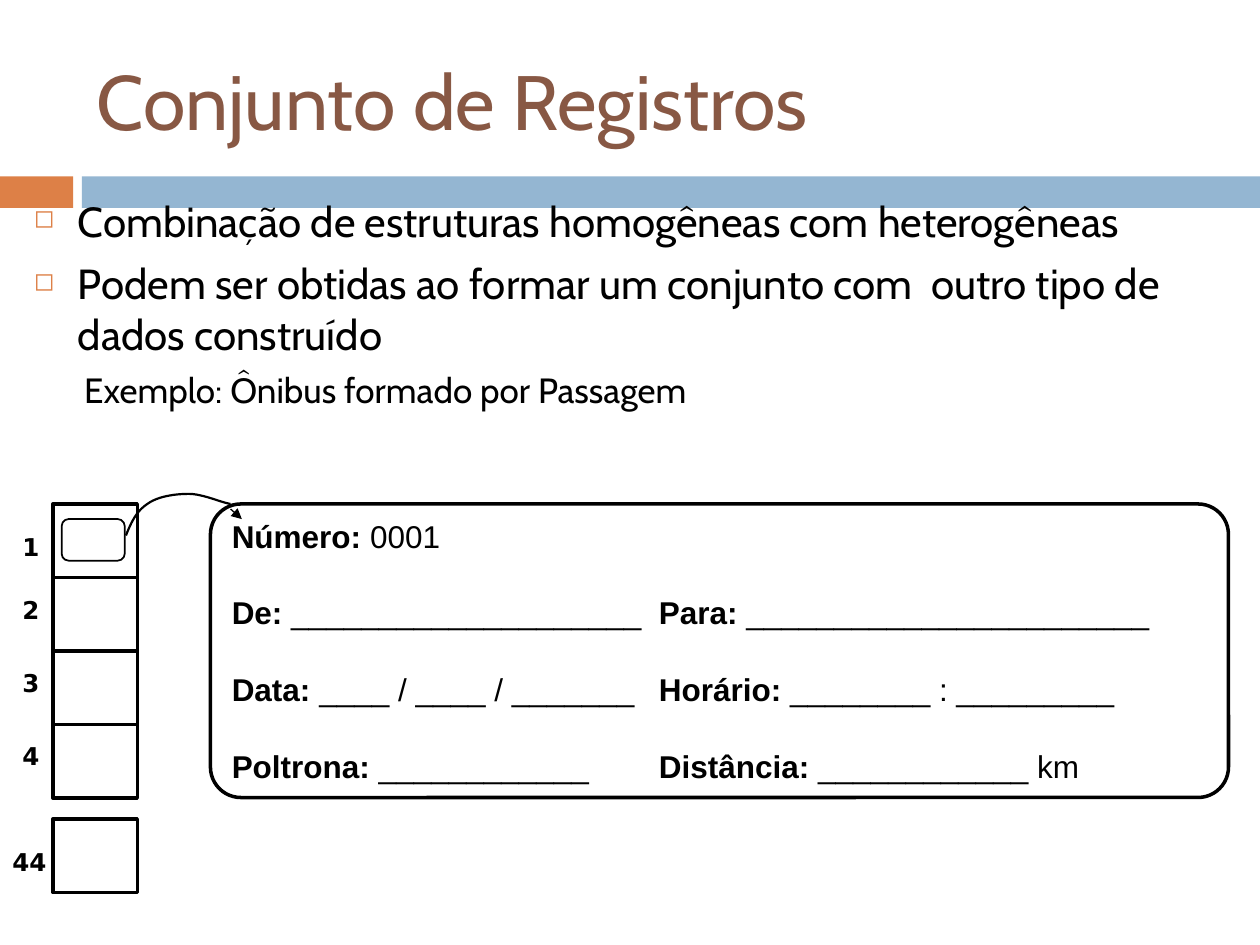
import pptx
import pptx.dml.color
import pptx.enum.shapes
import pptx.enum.text
import pptx.oxml
import pptx.oxml.ns
import pptx.util

Inches, Pt = pptx.util.Inches, pptx.util.Pt
RGBColor = pptx.dml.color.RGBColor
MSO = pptx.enum.shapes.MSO_SHAPE
ANCHOR = pptx.enum.text.MSO_ANCHOR
ALIGN = pptx.enum.text.PP_ALIGN
NS = pptx.oxml.ns.nsdecls("a")

ORANGE = RGBColor(0xDD, 0x80, 0x47)
BLUE = RGBColor(0x94, 0xB6, 0xD2)
BROWN = RGBColor(0x88, 0x58, 0x44)
BLACK = RGBColor(0, 0, 0)
WHITE = RGBColor(255, 255, 255)

prs = pptx.Presentation()
prs.slide_width, prs.slide_height = Inches(10), Inches(7.5)
s = prs.slides.add_slide(prs.slide_layouts[6])


def add_box(kind, box, fill, line=None, adj=None):
    sp = s.shapes.add_shape(kind, *map(Inches, box))
    sp.shadow.inherit = False
    sp.fill.solid()
    sp.fill.fore_color.rgb = fill
    if line:
        sp.line.color.rgb = BLACK
        sp.line.width = Pt(line)
    else:
        sp.line.fill.background()
    if adj:
        sp.adjustments[0] = adj
    return sp


def add_run(p, text, color=BLACK, **font):
    r = p.add_run()
    r.text = text
    r.font.color.rgb = color
    for key, value in font.items():
        setattr(r.font, key, value)


# Header bars
add_box(MSO.RECTANGLE, (0, 1.4, 0.58, 0.25), ORANGE)
add_box(MSO.RECTANGLE, (0.65, 1.4, 9.35, 0.25), BLUE)

# Title
tf = s.shapes.add_textbox(Inches(0.67), Inches(0.25), Inches(8.92), Inches(1.08)).text_frame
tf.word_wrap = True
tf.vertical_anchor = ANCHOR.MIDDLE
add_run(tf.paragraphs[0], "Conjunto de Registros", BROWN, name="Cabin", size=Pt(44))

# Body: two bullets and an indented example
body = [
    ("Combinação de estruturas homogêneas com heterogêneas", 0, 24, 0),
    ("Podem ser obtidas ao formar um conjunto com  outro tipo de dados construído", 0, 24, 7),
    ("Exemplo: Ônibus formado por Passagem", 1, 20, 5.5),
]
tf = s.shapes.add_textbox(Inches(0.17), Inches(1.5), Inches(9.67), Inches(2.55)).text_frame
tf.word_wrap = True
for i, (text, level, size, before) in enumerate(body):
    p = tf.add_paragraph() if i else tf.paragraphs[0]
    pPr = p._p.get_or_add_pPr()
    left, hang = ((0.35, -0.35), (0.7, -0.3))[level]
    pPr.set("marL", str(Inches(left)))
    pPr.set("indent", str(Inches(hang)))
    if level == 0:
        for xml in (f'<a:buClr {NS}><a:srgbClr val="{ORANGE}"/></a:buClr>',
                    f'<a:buSzPct {NS} val="60000"/>',
                    f'<a:buChar {NS} char="◻"/>'):
            pPr.append(pptx.oxml.parse_xml(xml))
    p.level = level
    p.space_before = Pt(before)
    add_run(p, text, name="Cabin", size=Pt(size))

# Ticket: bold labels with blanks, second column on a tab stop
ticket = [
    [("Número:", " 0001")],
    [("De:", " " + "_" * 20 + "\t"), ("Para:", " " + "_" * 23)],
    [("Data:", " ____ / ____ / _______\t"), ("Horário:", " ________ : _________")],
    [("Poltrona:", " " + "_" * 12 + "\t"), ("Distância:", " " + "_" * 12 + " km")],
]
sp = add_box(MSO.ROUNDED_RECTANGLE, (1.67, 4, 8.08, 2.33), WHITE, 2, 0.104)
tf = sp.text_frame
tf.word_wrap = True
tf.vertical_anchor = ANCHOR.MIDDLE
for i, fields in enumerate(ticket):
    p = tf.add_paragraph() if i else tf.paragraphs[0]
    p._p.get_or_add_pPr().append(pptx.oxml.parse_xml(
        f'<a:tabLst {NS}><a:tab pos="{Inches(3.39)}" algn="l"/></a:tabLst>'))
    p.alignment = ALIGN.LEFT
    p.space_before = Pt(22.3 if i else 0)
    for label, blank in fields:
        add_run(p, label, name="Arial", size=Pt(18), bold=True)
        add_run(p, blank, name="Arial", size=Pt(18), bold=False)

# Seat column: four adjoining cells and a detached last one
cell_h = 7 / 12
for top in [4 + i * cell_h for i in range(4)] + [6.5]:
    add_box(MSO.RECTANGLE, (0.42, top, 0.67, cell_h), WHITE, 2)
add_box(MSO.ROUNDED_RECTANGLE, (0.49, 4.12, 0.5, 0.33), WHITE, 1, 0.167)

# Curve from the first seat to the ticket, sampled from Bezier pieces
curve = [
    ((1, 4.25), (1.04, 4.15), (1.08, 4.06), (1.17, 4)),
    ((1.17, 4), (1.25, 3.94), (1.39, 3.92), (1.5, 3.92)),
    ((1.5, 3.92), (1.61, 3.92), (1.76, 3.99), (1.83, 4)),
]
points = []
for piece in curve:
    for step in range(1, 13):
        t = step / 12
        weights = ((1 - t) ** 3, 3 * t * (1 - t) ** 2, 3 * t * t * (1 - t), t ** 3)
        points.append([Inches(sum(w * pt[axis] for w, pt in zip(weights, piece)))
                       for axis in (0, 1)])
fb = s.shapes.build_freeform(Inches(1), Inches(4.25))
fb.add_line_segments(points, close=False)
sp = fb.convert_to_shape()
sp.shadow.inherit = False
sp.fill.background()
sp.line.color.rgb = BLACK
sp.line.width = Pt(1.25)

# Arrow tip
cn = s.shapes.add_connector(pptx.enum.shapes.MSO_CONNECTOR.STRAIGHT,
                            Inches(1.83), Inches(4.04), Inches(1.92), Inches(4.12))
cn.line.color.rgb = BLACK
cn.line.width = Pt(0.75)
cn.line._get_or_add_ln().append(pptx.oxml.parse_xml(f'<a:tailEnd {NS} type="triangle"/>'))
cn._element.spPr.append(pptx.oxml.parse_xml(f'<a:effectLst {NS}/>'))

# Seat numbers
for text, left, top, width in [("1", 0.08, 4.17, 0.33), ("2", 0.08, 4.67, 0.33),
                               ("3", 0.08, 5.25, 0.33), ("4", 0.08, 5.83, 0.33),
                               ("44", 0, 6.67, 0.58)]:
    tf = s.shapes.add_textbox(Inches(left), Inches(top), Inches(width), Inches(0.33)).text_frame
    tf.word_wrap = True
    add_run(tf.paragraphs[0], text, name="DejaVu Sans", size=Pt(14), bold=True)

prs.save("out.pptx")
